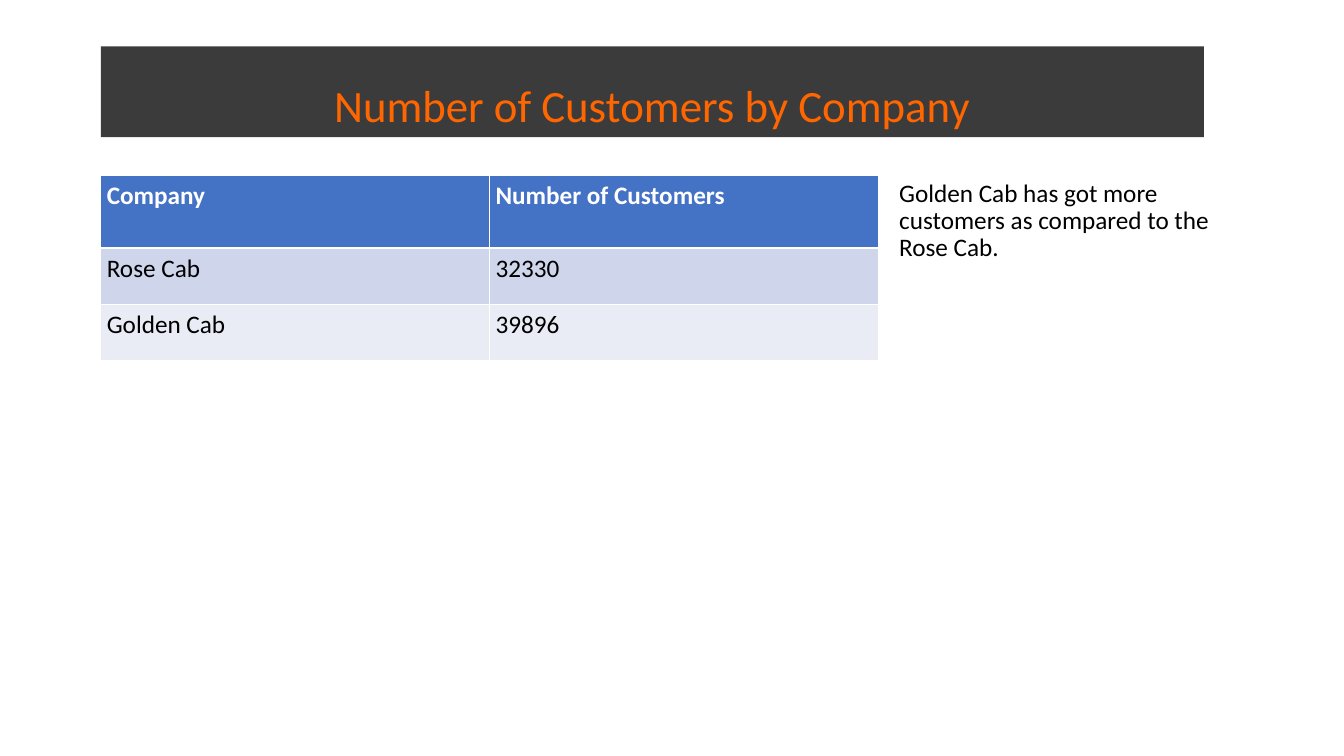
from pptx import Presentation
from pptx.dml.color import RGBColor
from pptx.enum.text import MSO_ANCHOR, MSO_AUTO_SIZE, PP_ALIGN
from pptx.util import Inches, Pt

BOTTOM = MSO_ANCHOR.BOTTOM
TOP = MSO_ANCHOR.TOP
FIXED = MSO_AUTO_SIZE.NONE
CENTER = PP_ALIGN.CENTER
LEFT = PP_ALIGN.LEFT
TITLE_ONLY = 5
CELL = 0.1


def grid(*units):
    """Turn grid columns or rows into lengths."""
    return [Inches(unit * CELL) for unit in units]


def paint(code):
    """Turn a hex string into a colour."""
    return RGBColor.from_string(code)


class Page:
    """Holds the style and the current slide."""

    font = "Calibri"
    ink = "000000"
    white = "FFFFFF"
    dark = "3B3B3B"
    orange = "FF6600"
    head = "4472C4"
    bands = ("CFD5EA", "E9EBF5")

    def __init__(self, deck):
        """Add a title-only slide to the deck."""
        self.slide = deck.slides.add_slide(deck.slide_layouts[TITLE_ONLY])

    def label(self, para, text, size, color, bold=False):
        """Add one styled run to a paragraph."""
        run = para.add_run()
        run.text = text
        run.font.name = self.font
        run.font.size = Pt(size)
        run.font.bold = bold
        run.font.color.rgb = paint(color)

    def tint(self, item, color):
        """Give a shape or a cell a solid fill."""
        item.fill.solid()
        item.fill.fore_color.rgb = paint(color)

    def frame(self, shape, text, size, color, anchor, align):
        """Set a wrapped paragraph in a shape of fixed size."""
        body = shape.text_frame
        body.word_wrap = True
        body.auto_size = FIXED
        body.vertical_anchor = anchor
        para = body.paragraphs[0]
        para.alignment = align
        para.line_spacing = 0.9
        self.label(para, text, size, color)
        return para

    def title(self, box, text):
        """Place the title on its dark band."""
        shape = self.slide.shapes.title
        shape.left, shape.top, shape.width, shape.height = grid(*box)
        self.tint(shape, self.dark)
        self.frame(shape, text, 32, self.orange, BOTTOM, CENTER)

    def note(self, box, text):
        """Place a block of plain text."""
        shape = self.slide.shapes.add_textbox(*grid(*box))
        para = self.frame(shape, text, 18, self.ink, TOP, LEFT)
        para.space_before = Pt(10)

    def table(self, left, top, width, rows, data):
        """Place a table with a header row and banded rows."""
        box = grid(left, top, width, sum(rows))
        table = self.slide.shapes.add_table(len(data), len(data[0]), *box).table
        for row, high in zip(table.rows, grid(*rows)):
            row.height = high
        for i, line in enumerate(data):
            first = i == 0
            back = self.head if first else self.bands[(i - 1) % 2]
            color = self.white if first else self.ink
            for j, text in enumerate(line):
                cell = table.cell(i, j)
                cell.margin_left = cell.margin_right = Inches(0.06)
                cell.margin_top = cell.margin_bottom = Inches(0.05)
                self.tint(cell, back)
                para = cell.text_frame.paragraphs[0]
                self.label(para, text, 18, color, first)


def main():
    """Build the slide and save it."""
    deck = Presentation()
    deck.slide_width, deck.slide_height = Inches(13.33), Inches(7.5)
    page = Page(deck)
    page.title((10, 4.6, 109.4, 9), "Number of Customers by Company")
    data = [
        ("Company", "Number of Customers"),
        ("Rose Cab", "32330"),
        ("Golden Cab", "39896"),
    ]
    page.table(10, 17.4, 77.1, (7.2, 5.6, 5.6), data)
    page.note(
        (88.2, 17.4, 32.9, 41.7),
        "Golden Cab has got more customers as compared to the Rose Cab.",
    )
    deck.save("out.pptx")


if __name__ == "__main__":
    main()
